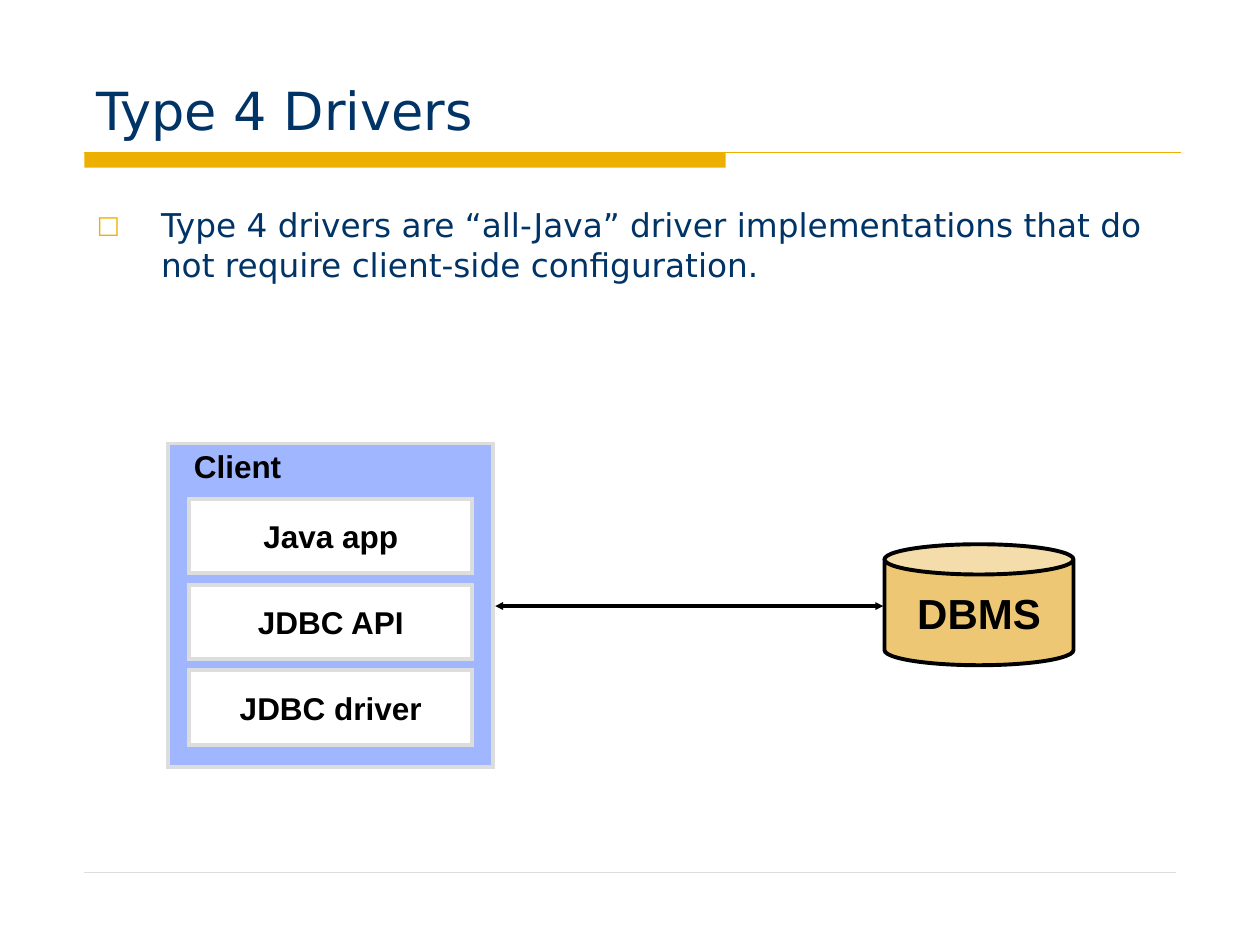
from lxml.etree import SubElement
from pptx import Presentation
from pptx.dml.color import RGBColor
from pptx.enum.shapes import MSO_CONNECTOR, MSO_SHAPE
from pptx.enum.text import MSO_ANCHOR, PP_ALIGN
from pptx.oxml.ns import qn
from pptx.util import Inches, Pt

NAVY = RGBColor(0x00, 0x33, 0x66)
GOLD = RGBColor(0xEE, 0xB0, 0x00)
SAND = RGBColor(0xED, 0xC7, 0x74)
BLUE = RGBColor(0xA0, 0xB7, 0xFF)
GREY = RGBColor(0xDD, 0xDD, 0xDD)
BLACK = RGBColor(0x00, 0x00, 0x00)
WHITE = RGBColor(0xFF, 0xFF, 0xFF)

LAYERS = ["Java app", "JDBC API", "JDBC driver"]


def write_text(shape, text, size=18, font="Arial", color=BLACK, bold=True,
               align=PP_ALIGN.LEFT, anchor=MSO_ANCHOR.TOP):
    frame = shape.text_frame
    frame.word_wrap = True
    frame.vertical_anchor = anchor
    paragraph = frame.paragraphs[0]
    paragraph.alignment = align
    run = paragraph.add_run()
    run.text = text
    run.font.size = Pt(size)
    run.font.name = font
    run.font.bold = bold
    run.font.color.rgb = color
    return paragraph


def add_block(slide, kind, left, top, width, height, fill, line=None):
    shape = slide.shapes.add_shape(
        kind, Inches(left), Inches(top), Inches(width), Inches(height))
    shape.shadow.inherit = False
    shape.fill.solid()
    shape.fill.fore_color.rgb = fill
    if line is None:
        shape.line.fill.background()
    else:
        shape.line.color.rgb = line
        shape.line.width = Pt(2.25)
        # Square corners
        SubElement(shape.line._get_or_add_ln(), qn("a:miter"), lim="800000")
    return shape


def add_text_box(slide, left, top, width, height):
    return slide.shapes.add_textbox(
        Inches(left), Inches(top), Inches(width), Inches(height))


def add_rule(slide, left, right, y, color, weight, arrows=False):
    rule = slide.shapes.add_connector(
        MSO_CONNECTOR.STRAIGHT, Inches(left), Inches(y), Inches(right), Inches(y))
    rule.line.color.rgb = color
    rule.line.width = Pt(weight)
    if arrows:
        line = rule.line._get_or_add_ln()
        for end in ("a:headEnd", "a:tailEnd"):
            SubElement(line, qn(end), type="triangle", w="sm", len="sm")
    SubElement(rule._element.spPr, qn("a:effectLst"))


def add_title(slide, left, top, width, height):
    # Gold bar and thin rule under the title
    rule_y = top + height + 0.04
    add_block(slide, MSO_SHAPE.RECTANGLE, left, rule_y, 5.09, 0.12, GOLD)
    add_rule(slide, left, left + 8.7, rule_y, GOLD, 0.75)
    write_text(add_text_box(slide, left, top, width, height), "Type 4 Drivers",
               size=30, font="DejaVu Sans", color=NAVY, bold=False,
               anchor=MSO_ANCHOR.BOTTOM)


def add_body(slide, left, top, width, height):
    paragraph = write_text(
        add_text_box(slide, left, top, width, height),
        "Type 4 drivers are “all-Java” driver implementations that do "
        "not require client-side configuration.",
        size=18.7, font="DejaVu Sans", color=NAVY, bold=False)
    paragraph.space_before = Pt(5.5)
    paragraph.space_after = Pt(13.8)
    # Hollow square bullet with a hanging indent
    properties = paragraph._p.get_or_add_pPr()
    properties.set("marL", str(Inches(0.51)))
    properties.set("indent", str(-Inches(0.51)))
    bullet_color = SubElement(properties, qn("a:buClr"))
    SubElement(bullet_color, qn("a:srgbClr"), val=str(GOLD))
    SubElement(properties, qn("a:buSzPct"), val="75000")
    SubElement(properties, qn("a:buFont"), typeface="DejaVu Sans")
    SubElement(properties, qn("a:buChar"), char="□")


def add_client(slide, left, top, width, height):
    add_block(slide, MSO_SHAPE.RECTANGLE, left, top, width, height, BLUE, GREY)
    write_text(add_text_box(slide, left + 0.11, top - 0.02, 1.5, 0.4), "Client")
    # Stacked software layers
    for index, name in enumerate(LAYERS):
        layer = add_block(slide, MSO_SHAPE.RECTANGLE, left + 0.17,
                          top + 0.44 + index * 0.68, 2.25, 0.59, WHITE, GREY)
        write_text(layer, name, align=PP_ALIGN.CENTER, anchor=MSO_ANCHOR.MIDDLE)


def add_database(slide, left, top, width, height):
    can = add_block(slide, MSO_SHAPE.CAN, left, top, width, height, SAND, BLACK)
    can.adjustments[0] = 0.25
    write_text(can, "DBMS", size=24, align=PP_ALIGN.CENTER,
               anchor=MSO_ANCHOR.MIDDLE)


def main():
    presentation = Presentation()
    presentation.slide_width = Inches(10)
    presentation.slide_height = Inches(7.5)
    slide = presentation.slides.add_slide(presentation.slide_layouts[6])

    add_title(slide, 0.67, 0.17, 8.75, 1)
    add_body(slide, 0.67, 1.58, 8.66, 0.76)
    add_client(slide, 1.33, 3.52, 2.58, 2.57)
    add_database(slide, 7.02, 4.32, 1.5, 0.96)
    # Two-way link between client and database
    add_rule(slide, 3.93, 7.01, 4.81, BLACK, 2.25, arrows=True)
    # Footer rule
    add_rule(slide, 0.67, 9.33, 6.92, GREY, 0.25)

    presentation.save("out.pptx")


if __name__ == "__main__":
    main()
